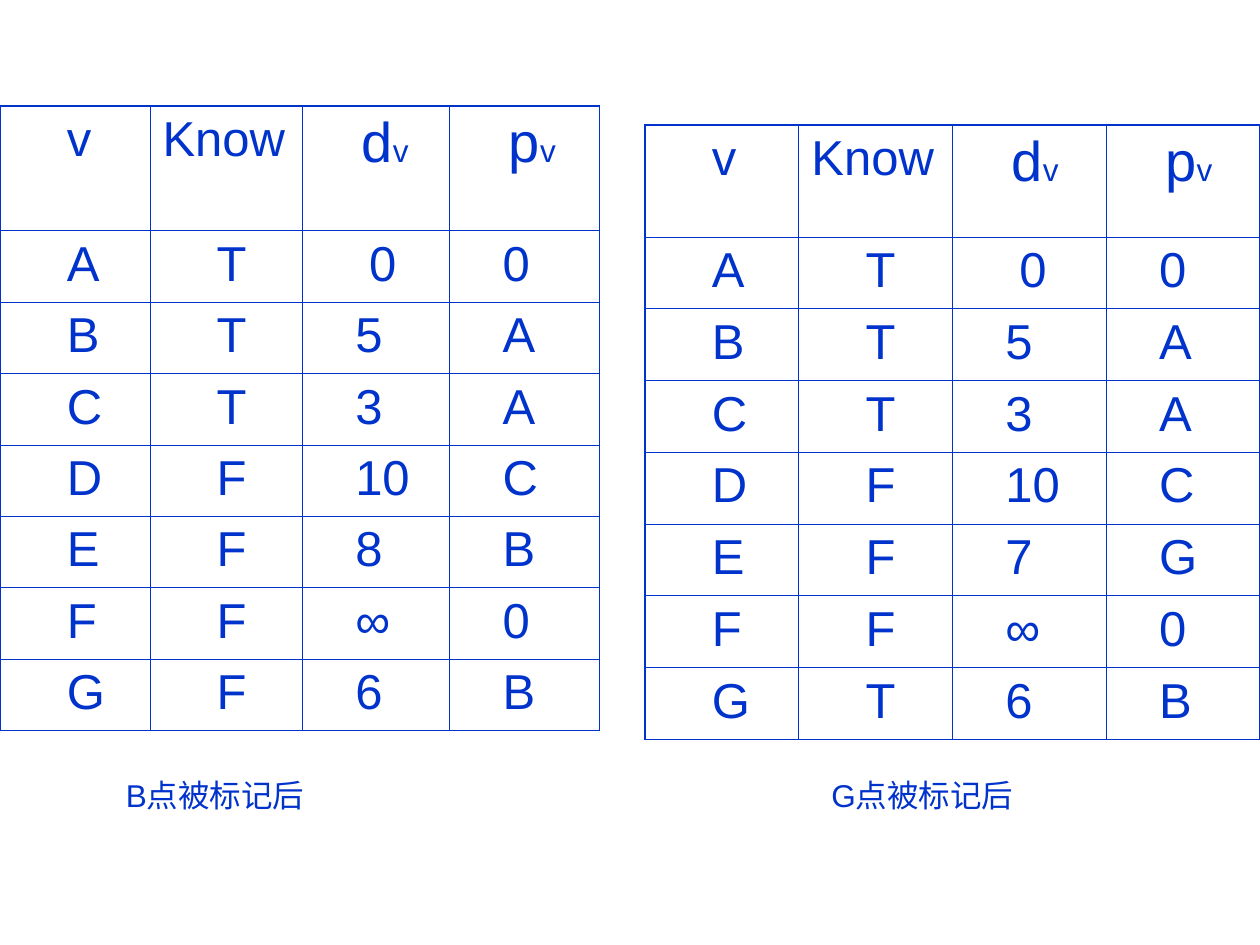
import pptx
import pptx.dml.color
import pptx.oxml
import pptx.oxml.ns
import pptx.util
from pptx.util import Inches

BLUE = pptx.dml.color.RGBColor(0x00, 0x33, 0xCC)
FONT = "Arial"
OUTER_LINE, INNER_LINE = 1.08, 0.45
BODY_SIZE, SYMBOL_SIZE, SMALL_SIZE = 28, 32, 18
WIDE_INDENT, NARROW_INDENT, SYMBOL_INDENT = 0.43, 0.32, 0.37

HEADER = ["v", "Know", "dv", "pv"]
AFTER_B = ["AT00", "BT5A", "CT3A", ["D", "F", "10", "C"],
           "EF8B", "FF∞0", "GF6B"]
AFTER_G = ["AT00", "BT5A", "CT3A", ["D", "F", "10", "C"],
           "EF7G", "FF∞0", "GT6B"]


def format_run(run, size):
    run.font.name = FONT
    run.font.size = pptx.util.Pt(size)
    run.font.color.rgb = BLUE


def set_borders(cell, row, column, last_row, last_column):
    """Heavier line on the outside of the table, thin lines inside."""
    outside = {"lnL": column == 0, "lnR": column == last_column,
               "lnT": row == 0, "lnB": row == last_row}
    properties = cell._tc.get_or_add_tcPr()
    for side, is_outer in outside.items():
        width = pptx.util.Pt(OUTER_LINE if is_outer else INNER_LINE)
        properties.append(pptx.oxml.parse_xml(
            f'<a:{side} {pptx.oxml.ns.nsdecls("a")} w="{int(width)}">'
            f'<a:solidFill><a:srgbClr val="{BLUE}"/></a:solidFill></a:{side}>'))


def cell_indent(row, column):
    if row == 0:
        return [WIDE_INDENT, 0, SYMBOL_INDENT, SYMBOL_INDENT][column]
    if column < 2 or (row == 1 and column == 2):
        return WIDE_INDENT
    return NARROW_INDENT


def fill_cell(cell, value, row, column):
    paragraph = cell.text_frame.paragraphs[0]
    paragraph._p.get_or_add_pPr().set(
        "marL", str(int(Inches(cell_indent(row, column)))))
    if row == 0 and column >= 2:
        # Symbol followed by a small index letter
        parts = zip(value, (SYMBOL_SIZE, SMALL_SIZE))
    else:
        parts = [(value, BODY_SIZE)]
    for text, size in parts:
        run = paragraph.add_run()
        run.text = text
        format_run(run, size)


def add_state_table(slide, box, column_widths, header_height, states):
    left, top, width, height = box
    rows = [HEADER, *states]
    last_row, last_column = len(rows) - 1, len(HEADER) - 1
    table = slide.shapes.add_table(
        len(rows), len(HEADER), Inches(left), Inches(top),
        Inches(width), Inches(height)).table
    table.first_row = table.horz_banding = False

    for column, column_width in zip(table.columns, column_widths):
        column.width = Inches(column_width)
    state_height = (height - header_height) / len(states)
    for row, table_row in enumerate(table.rows):
        table_row.height = Inches(state_height if row else header_height)

    for row, values in enumerate(rows):
        for column, value in enumerate(values):
            cell = table.cell(row, column)
            set_borders(cell, row, column, last_row, last_column)
            cell.fill.background()
            fill_cell(cell, value, row, column)


def add_caption(slide, box, text):
    caption = slide.shapes.add_textbox(*map(Inches, box)).text_frame
    caption.word_wrap = True
    caption.text = text
    format_run(caption.paragraphs[0].runs[0], SMALL_SIZE)


def main():
    deck = pptx.Presentation()
    deck.slide_width, deck.slide_height = Inches(10), Inches(7.5)
    slide = deck.slides.add_slide(deck.slide_layouts[6])

    # Left: state after B is marked
    add_state_table(slide, (0, 0.84, 4.76, 4.96),
                    [1.19, 1.21, 1.17, 1.19], 0.99, AFTER_B)
    add_caption(slide, (0.9, 6.11, 2.36, 0.4), "B点被标记后")

    # Right: state after G is marked
    add_state_table(slide, (5.12, 0.99, 4.88, 4.88),
                    [1.22] * 4, 0.89, AFTER_G)
    add_caption(slide, (6.5, 6.11, 2.05, 0.4), "G点被标记后")

    deck.save("out.pptx")


if __name__ == "__main__":
    main()
